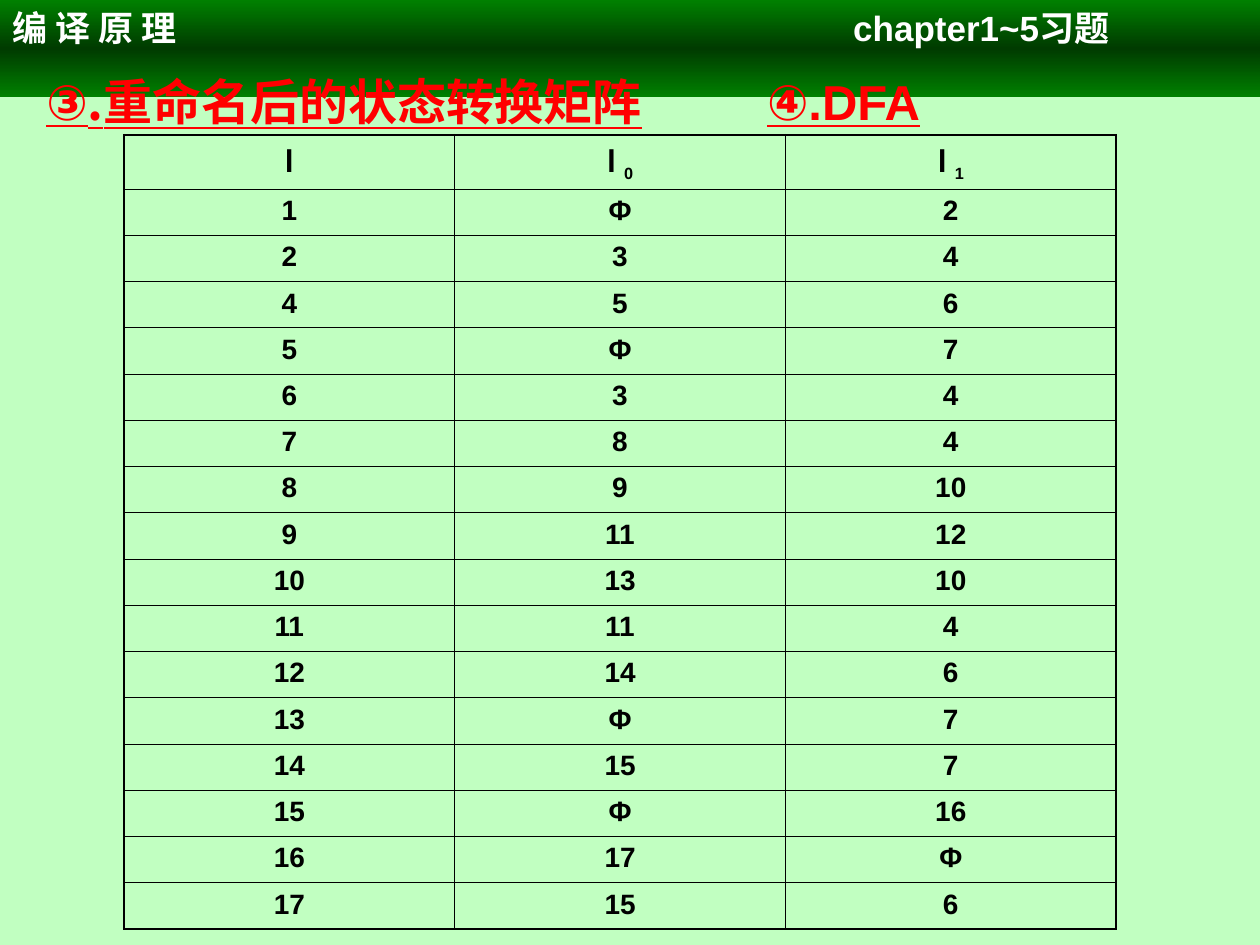
"""Build the slide with the renamed state transition matrix."""
from copy import deepcopy
from typing import NamedTuple

from lxml.etree import SubElement
from pptx import Presentation
from pptx.dml.color import RGBColor
from pptx.enum.shapes import MSO_SHAPE
from pptx.enum.text import MSO_ANCHOR, MSO_AUTO_SIZE, PP_ALIGN
from pptx.oxml.ns import qn
from pptx.util import Pt

PALE_GREEN = RGBColor(0xC1, 0xFF, 0xC1)
GREEN = RGBColor(0x00, 0x80, 0x00)
DARK_GREEN = RGBColor(0x00, 0x3B, 0x00)
WHITE = RGBColor(0xFF, 0xFF, 0xFF)
RED = RGBColor(0xFF, 0x00, 0x00)
BLACK = RGBColor(0x00, 0x00, 0x00)
LATIN, LETTER, CJK = "Arial", "Lato", "Noto Sans CJK SC"
OUTER, INNER = 1.08, 0.45
CHAPTER_TAB = 480.5


class Heading(NamedTuple):
    left: float
    width: float
    wording: tuple[tuple[str, str], ...]


class Transition(NamedTuple):
    state: str
    on_zero: str
    on_one: str


HEADINGS = (
    Heading(10.1, 373, (("③", LATIN), (".重命名后的状态转换矩阵", CJK))),
    Heading(428.4, 107.3, (("④.DFA", LATIN),)),
)
TRANSITIONS = (
    Transition("1", "Φ", "2"),
    Transition("2", "3", "4"),
    Transition("4", "5", "6"),
    Transition("5", "Φ", "7"),
    Transition("6", "3", "4"),
    Transition("7", "8", "4"),
    Transition("8", "9", "10"),
    Transition("9", "11", "12"),
    Transition("10", "13", "10"),
    Transition("11", "11", "4"),
    Transition("12", "14", "6"),
    Transition("13", "Φ", "7"),
    Transition("14", "15", "7"),
    Transition("15", "Φ", "16"),
    Transition("16", "17", "Φ"),
    Transition("17", "15", "6"),
)


def add_text(paragraph, text: str, *, size: float, color: RGBColor, font: str = LATIN,
             underline: bool = False, baseline: int = 0) -> None:
    run = paragraph.add_run()
    run.text = text
    run.font.size = Pt(size)
    run.font.bold = True
    run.font.color.rgb = color
    run.font.name = font
    if underline:
        run.font.underline = True
    properties = run._r.get_or_add_rPr()
    if baseline:
        properties.set("baseline", str(baseline * 1000))
    SubElement(properties, qn("a:ea")).set("typeface", CJK)


def add_banner(slide, width: int) -> None:
    banner = slide.shapes.add_shape(MSO_SHAPE.RECTANGLE, 0, 0, width, Pt(55.4))
    banner.shadow.inherit = False
    banner.line.fill.background()
    banner.fill.gradient()
    banner.fill.gradient_angle = 90
    stop_list = banner._element.spPr.find(".//" + qn("a:gsLst"))
    stop_list.append(deepcopy(stop_list[0]))
    for index, (stop, color) in enumerate(zip(banner.fill.gradient_stops, (GREEN, DARK_GREEN, GREEN))):
        stop.position = index / 2
        stop.color.rgb = color
    frame = banner.text_frame
    frame.word_wrap = True
    frame.vertical_anchor = MSO_ANCHOR.TOP
    paragraph = frame.paragraphs[0]
    paragraph.alignment = PP_ALIGN.LEFT
    tabs = SubElement(paragraph._p.get_or_add_pPr(), qn("a:tabLst"))
    tab = SubElement(tabs, qn("a:tab"))
    tab.set("pos", str(Pt(CHAPTER_TAB)))
    tab.set("algn", "l")
    add_text(paragraph, "编 译 原 理\tchapter1~5习题", size=20, color=WHITE)


def add_heading(slide, heading: Heading) -> None:
    box = slide.shapes.add_textbox(Pt(heading.left), Pt(37.4), Pt(heading.width), Pt(41))
    frame = box.text_frame
    frame.word_wrap = False
    frame.auto_size = MSO_AUTO_SIZE.SHAPE_TO_FIT_TEXT
    paragraph = frame.paragraphs[0]
    paragraph.alignment = PP_ALIGN.CENTER
    for text, font in heading.wording:
        add_text(paragraph, text, size=28, color=RED, font=font, underline=True)


def set_borders(cell, **widths: float) -> None:
    properties = cell._tc.get_or_add_tcPr()
    for side in "LRTB":
        line = SubElement(properties, qn(f"a:ln{side}"))
        line.set("w", str(Pt(widths[side])))
        fill = SubElement(line, qn("a:solidFill"))
        SubElement(fill, qn("a:srgbClr")).set("val", str(BLACK))


def add_matrix(slide) -> None:
    row_count, column_count = len(TRANSITIONS) + 1, len(TRANSITIONS[0])
    matrix = slide.shapes.add_table(row_count, column_count, Pt(70.8), Pt(77), Pt(567), Pt(453.4)).table
    matrix.first_row = matrix.horz_banding = False
    for column in matrix.columns:
        column.width = Pt(189)
    for index, row in enumerate(matrix.rows):
        row.height = Pt(26.4 if index else 31)
    for r in range(row_count):
        for c in range(column_count):
            cell = matrix.cell(r, c)
            set_borders(cell, L=INNER if c else OUTER, R=OUTER if c == column_count - 1 else INNER,
                        T=INNER if r else OUTER, B=OUTER if r == row_count - 1 else INNER)
            cell.fill.background()
            paragraph = cell.text_frame.paragraphs[0]
            paragraph.alignment = PP_ALIGN.CENTER
            if r:
                add_text(paragraph, TRANSITIONS[r - 1][c], size=16, color=BLACK)
                continue
            add_text(paragraph, "I", size=18, color=BLACK, font=LETTER)
            if c:
                add_text(paragraph, " ", size=16, color=BLACK)
                add_text(paragraph, str(c - 1), size=16, color=BLACK, baseline=-25)


def main() -> None:
    presentation = Presentation()
    presentation.slide_width, presentation.slide_height = Pt(720), Pt(540)
    slide = presentation.slides.add_slide(presentation.slide_layouts[6])
    slide.background.fill.solid()
    slide.background.fill.fore_color.rgb = PALE_GREEN
    add_banner(slide, presentation.slide_width)
    add_heading(slide, HEADINGS[0])
    add_matrix(slide)
    add_heading(slide, HEADINGS[1])
    presentation.save("out.pptx")


if __name__ == "__main__":
    main()
